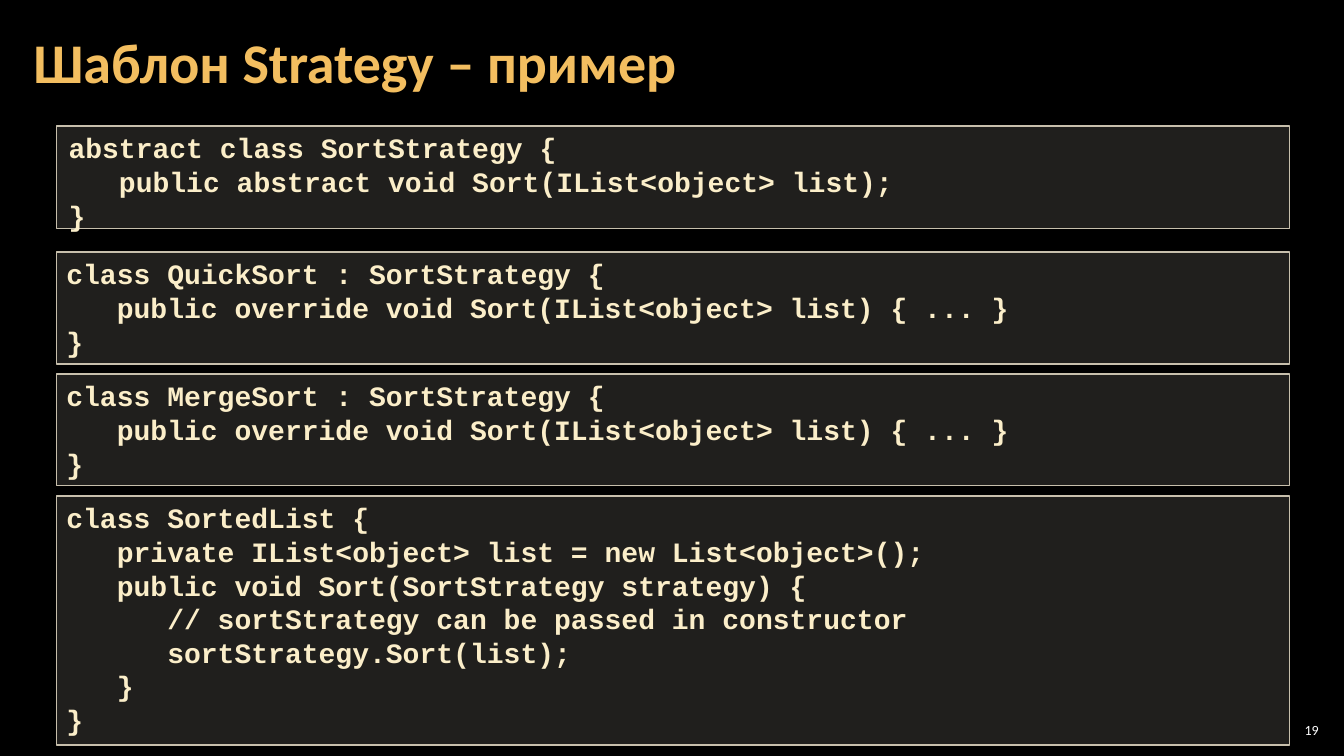
from dataclasses import dataclass

from lxml.etree import SubElement
from pptx import Presentation
from pptx.dml.color import RGBColor
from pptx.enum.shapes import MSO_SHAPE as Shape
from pptx.enum.text import MSO_ANCHOR as Anchor, MSO_AUTO_SIZE as AutoSize, PP_ALIGN as Align
from pptx.oxml.ns import qn
from pptx.util import Inches, Pt


@dataclass(frozen=True)
class Theme:
    backdrop: str = "000000"
    title: str = "F3BE60"
    code: str = "FBEEC9"
    panel: str = "D9D5C7"
    panel_line: str = "C7BFAC"
    number: str = "FFFFFF"
    panel_opacity: int = 15
    text_font: str = "Calibri"
    code_font: str = "Courier New"
    title_size: int = 40
    code_size: int = 20
    number_size: int = 10


THEME = Theme()

# Layout, in inches
WIDTH, HEIGHT = 13.33, 7.5
PANEL_LEFT, PANEL_WIDTH = 0.56, 12.23
CODE_ROW = 0.34
PANEL_PADDING = 0.09
PANEL_GAP = 0.1
STRATEGY_TOP, CLASSES_TOP = 1.25, 2.5

STRATEGY_CODE = """abstract class SortStrategy {
   public abstract void Sort(IList<object> list);
}"""

SORTER_CODE = """class {name} : SortStrategy {{
   public override void Sort(IList<object> list) {{ ... }}
}}"""

SORTED_LIST_CODE = """class SortedList {
   private IList<object> list = new List<object>();
   public void Sort(SortStrategy strategy) {
      // sortStrategy can be passed in constructor
      sortStrategy.Sort(list);
   }
}"""


def color(value):
    return RGBColor.from_string(value)


def place(box, left, top, width, height):
    box.left, box.top = Inches(left), Inches(top)
    box.width, box.height = Inches(width), Inches(height)


def write(box, text, font, size, ink, bold=False, align=Align.LEFT,
          anchor=Anchor.MIDDLE, side=0.1, edge=0.05):
    """Fill a box with text in a single style."""
    frame = box.text_frame
    frame.text = text
    frame.word_wrap = True
    frame.auto_size = AutoSize.NONE
    frame.vertical_anchor = anchor
    frame.margin_left = frame.margin_right = Inches(side)
    frame.margin_top = frame.margin_bottom = Inches(edge)
    for para in frame.paragraphs:
        para.alignment = align
        for span in para.runs:
            span.font.name = font
            span.font.size = Pt(size)
            span.font.bold = bold
            span.font.color.rgb = color(ink)


def add_title(page, text):
    title = page.shapes.title
    place(title, 0.21, 0.04, 12.91, 1.21)
    write(title, text, THEME.text_font, THEME.title_size, THEME.title,
          bold=True, side=0.12, edge=0.04)
    title.text_frame.paragraphs[0].line_spacing = 0.9


def add_code_panel(page, code, top, height, side=0.1):
    panel = page.shapes.add_shape(Shape.RECTANGLE, 0, 0, 0, 0)
    place(panel, PANEL_LEFT, top, PANEL_WIDTH, height)
    panel.shadow.inherit = False
    panel.fill.solid()
    panel.fill.fore_color.rgb = color(THEME.panel)
    tint = panel.fill._xPr.find(qn("a:solidFill"))[0]
    SubElement(tint, qn("a:alpha"), val=str(THEME.panel_opacity * 1000))
    panel.line.color.rgb = color(THEME.panel_line)
    panel.line.width = Pt(1)
    write(panel, code, THEME.code_font, THEME.code_size, THEME.code,
          bold=True, anchor=Anchor.TOP, side=side)


def add_code_stack(page, listings, top):
    """Stack panels whose heights follow their number of code lines."""
    for code in listings:
        height = len(code.splitlines()) * CODE_ROW + PANEL_PADDING
        add_code_panel(page, code, top, height)
        top += height + PANEL_GAP


def add_page_number(page, number):
    box = page.shapes.add_textbox(0, 0, 0, 0)
    place(box, 12.65, 7.14, 0.47, 0.21)
    write(box, str(number), THEME.text_font, THEME.number_size, THEME.number,
          align=Align.RIGHT, side=0.04, edge=0.04)


def main():
    deck = Presentation()
    deck.slide_width, deck.slide_height = Inches(WIDTH), Inches(HEIGHT)
    page = deck.slides.add_slide(deck.slide_layouts[5])
    page.background.fill.solid()
    page.background.fill.fore_color.rgb = color(THEME.backdrop)

    # Heading
    add_title(page, "Шаблон Strategy – пример")

    # Abstract strategy, fitted tightly to its three lines
    add_code_panel(page, STRATEGY_CODE, STRATEGY_TOP, 3 * CODE_ROW, side=0.12)

    # Concrete strategies and the class that uses them
    sorters = [SORTER_CODE.format(name=name) for name in ("QuickSort", "MergeSort")]
    add_code_stack(page, sorters + [SORTED_LIST_CODE], CLASSES_TOP)

    add_page_number(page, 19)
    deck.save("out.pptx")


if __name__ == "__main__":
    main()
